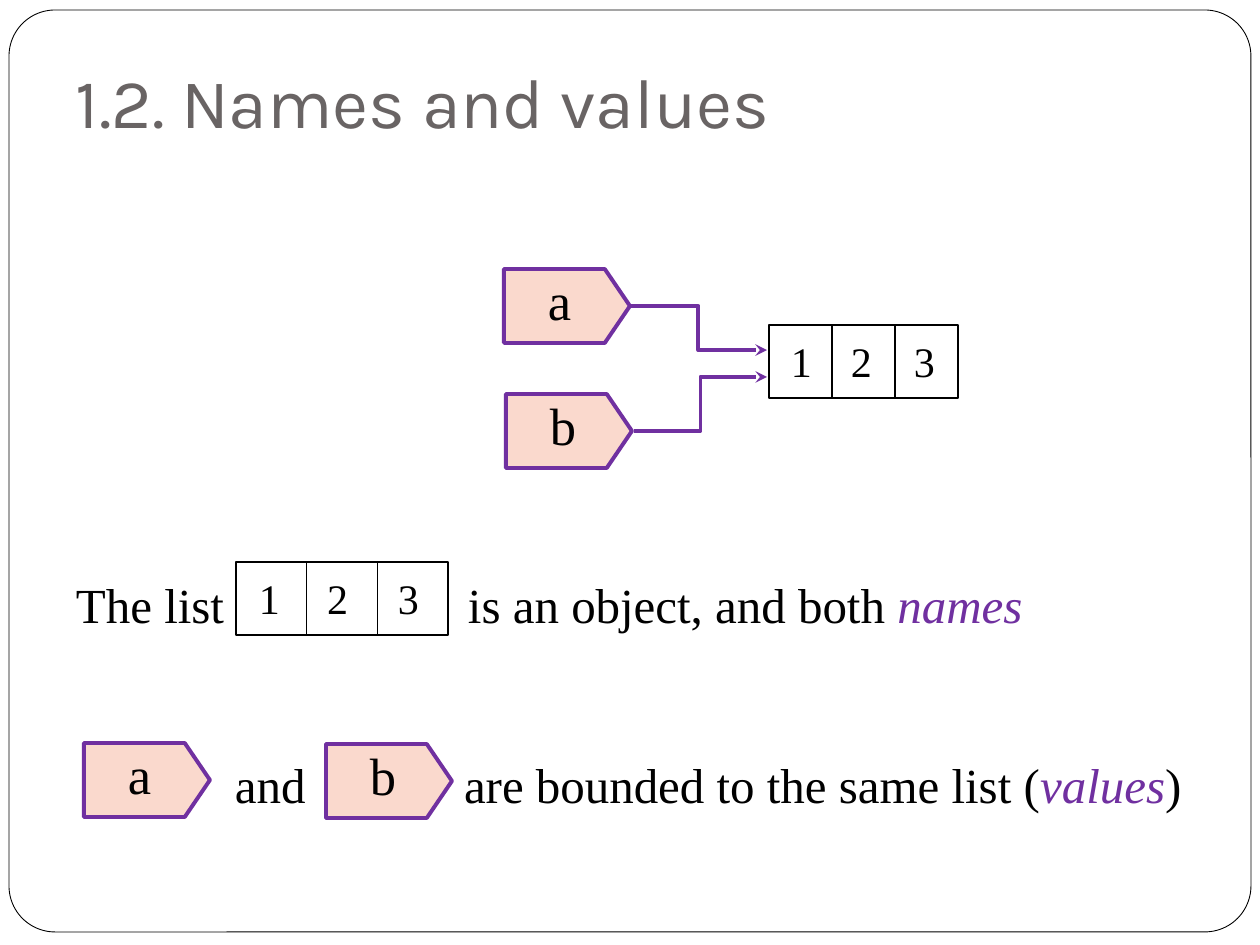
from dataclasses import dataclass

from lxml.etree import SubElement
from pptx import Presentation
from pptx.dml.color import RGBColor
from pptx.enum.shapes import MSO_CONNECTOR, MSO_SHAPE
from pptx.enum.text import MSO_ANCHOR
from pptx.oxml.ns import qn
from pptx.util import Pt


@dataclass(frozen=True)
class Theme:
    white: str = "FFFFFF"
    black: str = "000000"
    title: str = "696464"
    accent: str = "7030A0"
    tag: str = "FAD9CD"
    title_font: str = "Karla"
    body_font: str = "Times New Roman"
    title_size: int = 40
    tag_size: int = 30
    body_size: int = 28
    cell_size: int = 24


THEME = Theme()
PIXELS_PER_INCH = 126


def px(length):
    return round(length * 914400 / PIXELS_PER_INCH)


def set_line(item, color, width):
    item.line.color.rgb = RGBColor.from_string(color)
    item.line.width = Pt(width)


def add_text(shapes, box, paragraphs, *, size, font=THEME.body_font, color=THEME.black,
             wrap=False, anchor=MSO_ANCHOR.TOP, insets=(13, 6, 13, 6), gap=0, tabs=()):
    frame = shapes.add_textbox(*map(px, box)).text_frame
    frame.word_wrap = wrap
    frame.vertical_anchor = anchor
    frame.margin_left, frame.margin_top, frame.margin_right, frame.margin_bottom = map(px, insets)
    for index, runs in enumerate(paragraphs):
        paragraph = frame.add_paragraph() if index else frame.paragraphs[0]
        if index:
            paragraph.space_before = Pt(gap)
        if tabs:
            tab_list = SubElement(paragraph._p.get_or_add_pPr(), qn("a:tabLst"))
            for position in tabs[index]:
                SubElement(tab_list, qn("a:tab"), pos=str(px(position)), algn="l")
        for text, emphasized in runs:
            run = paragraph.add_run()
            run.text = text
            run.font.name = font
            run.font.size = Pt(size)
            run.font.italic = emphasized
            run.font.color.rgb = RGBColor.from_string(THEME.accent if emphasized else color)


def add_panel(shapes, kind, box, *, line, width, fill=None):
    shape = shapes.add_shape(kind, *map(px, box))
    shape.shadow.inherit = False
    if fill:
        shape.fill.solid()
        shape.fill.fore_color.rgb = RGBColor.from_string(fill)
    else:
        shape.fill.background()
    set_line(shape, line, width)
    return shape


def add_line(shapes, kind, start, end, *, color, width, arrow=False):
    connector = shapes.add_connector(kind, *map(px, (*start, *end)))
    set_line(connector, color, width)
    if arrow:
        SubElement(connector.line._get_or_add_ln(), qn("a:tailEnd"), type="stealth")
    SubElement(connector._element.spPr, qn("a:effectLst"))


def add_frame(shapes, box):
    frame = add_panel(shapes, MSO_SHAPE.ROUNDED_RECTANGLE, box,
                      line=THEME.black, width=0.5, fill=THEME.white)
    frame.adjustments[0] = 0.05


def add_title(shapes, box):
    add_text(shapes, box, [[("1.2. Names and values", False)]], size=THEME.title_size,
             font=THEME.title_font, color=THEME.title, wrap=True,
             anchor=MSO_ANCHOR.BOTTOM, insets=(13, 6, 13, 13))


def add_name_tag(shapes, name, box):
    left, top, width, height = box
    shift = (width - height) // 2
    tag = add_panel(shapes, MSO_SHAPE.FLOWCHART_OFFPAGE_CONNECTOR,
                    (left + shift, top - shift, height, width),
                    line=THEME.accent, width=2.25, fill=THEME.tag)
    tag.rotation = 270
    add_text(shapes, (left + 31, top - 7, 50, 77), [[(name, False)]], size=THEME.tag_size)


def add_list_object(shapes, values, box, label_offsets):
    left, top, width, height = box
    add_panel(shapes, MSO_SHAPE.RECTANGLE, box, line=THEME.black, width=1)
    for index in range(1, len(values)):
        x = left + index * width / len(values)
        add_line(shapes, MSO_CONNECTOR.STRAIGHT, (x, top), (x, top + height),
                 color=THEME.black, width=0.75)
    for value, offset in zip(values, label_offsets):
        add_text(shapes, (left + offset, top + 5, 47, 63), [[(value, False)]],
                 size=THEME.cell_size)


def add_binding_diagram(shapes, box):
    left, top, width, height = box
    add_list_object(shapes, "123", (left + 265, top + 56, 189, 73), (9, 69, 132))
    add_name_tag(shapes, "a", (left, top, 126, 74))
    add_name_tag(shapes, "b", (left + 2, top + height - 74, 126, 74))
    for start, end in (((126, 37), (263, 81)), ((130, 162), (263, 108))):
        add_line(shapes, MSO_CONNECTOR.ELBOW, (left + start[0], top + start[1]),
                 (left + end[0], top + end[1]), color=THEME.accent, width=2.25, arrow=True)


def add_explanation(slide, box):
    left, top, width, height = box
    add_name_tag(slide.shapes, "a", (left + 21, top + 180, 126, 74))
    add_name_tag(slide.shapes, "b", (left + 263, top + 181, 126, 74))
    add_list_object(slide.shapes.add_group_shape().shapes, "123",
                    (left + 173, top - 1, 212, 73), (10, 78, 149))
    add_text(slide.shapes, box, [
        [("The list\tis an object, and both ", False), ("names", True)],
        [("\tand\tare bounded to the same list (", False), ("values", True), (")", False)],
    ], size=THEME.body_size, wrap=True, insets=(13, 12, 13, 6), gap=69,
        tabs=((392,), (159, 388)))


def main():
    presentation = Presentation()
    presentation.slide_width, presentation.slide_height = px(1260), px(945)
    slide = presentation.slides.add_slide(presentation.slide_layouts[6])
    add_frame(slide.shapes, (9, 10, 1242, 922))
    add_title(slide.shapes, (63, -3, 1071, 158))
    add_binding_diagram(slide.shapes.add_group_shape().shapes, (504, 269, 454, 199))
    add_explanation(slide, (63, 563, 1166, 251))
    presentation.save("out.pptx")


if __name__ == "__main__":
    main()
